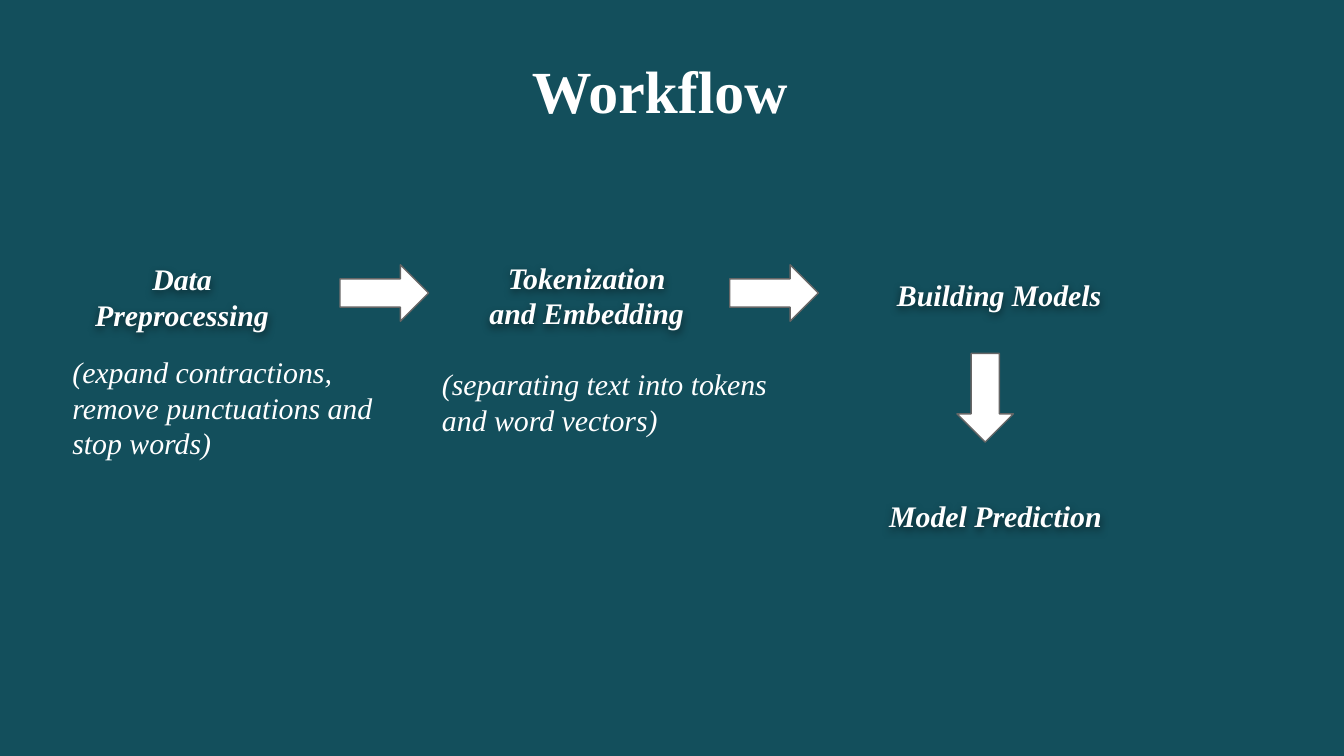
from lxml import etree
from pptx import Presentation
from pptx.dml.color import RGBColor
from pptx.enum.shapes import MSO_SHAPE
from pptx.enum.text import MSO_ANCHOR, MSO_AUTO_SIZE, PP_ALIGN
from pptx.oxml.ns import nsdecls
from pptx.util import Inches, Pt

FONT = "Times New Roman"
BACKGROUND, WHITE, GRAY = "134F5C", "FFFFFF", "666666"

TITLE = ("Workflow", (1.78, 0.3, 6.26, 0.74))
STEPS = [
    ("Data Preprocessing", (0.5, 1.84, 1.71, 1.01)),
    ("Tokenization and Embedding", (3.51, 1.83, 1.71, 0.74)),
    ("Building Models", (6.52, 1.96, 1.83, 0.47)),
    ("Model Prediction ", (6.16, 3.6, 2.55, 0.47)),
]
DETAILS = [
    ("(expand contractions, remove punctuations and stop words)",
     (0.44, 2.53, 2.68, 1.28)),
    ("(separating text into tokens and word vectors)",
     (3.19, 2.62, 2.68, 0.74)),
]
ARROW_SIZE = (0.66, 0.42)
ARROWS = [(2.53, 1.97, 0), (5.43, 1.97, 0), (7, 2.75, 90)]  # left, top, rotation

TEXT_SHADOW = (
    f'<a:effectLst {nsdecls("a")}>'
    '<a:outerShdw blurRad="57150" dist="19050" dir="5400000" algn="bl" rotWithShape="0">'
    '<a:srgbClr val="000000"><a:alpha val="50000"/></a:srgbClr>'
    '</a:outerShdw></a:effectLst>'
)


def color(hex_value):
    return RGBColor.from_string(hex_value)


def place(shape, box):
    shape.left, shape.top, shape.width, shape.height = map(Inches, box)


def write(shape, text, size, align, bold=False, italic=False):
    frame = shape.text_frame
    frame.word_wrap = True
    frame.auto_size = MSO_AUTO_SIZE.SHAPE_TO_FIT_TEXT
    frame.vertical_anchor = MSO_ANCHOR.TOP
    frame.margin_left = frame.margin_right = Inches(0.1)
    frame.margin_top = frame.margin_bottom = Inches(0.1)
    paragraph = frame.paragraphs[0]
    paragraph.text = text
    paragraph.alignment = align
    font = paragraph.font
    font.name, font.size = FONT, Pt(size)
    font.bold, font.italic = bold, italic
    font.color.rgb = color(WHITE)
    return paragraph


def add_text(slide, text, box, align, bold=False):
    shape = slide.shapes.add_textbox(*map(Inches, box))
    write(shape, text, 16, align, bold, italic=True)
    return shape


def add_arrow(slide, left, top, rotation):
    arrow = slide.shapes.add_shape(
        MSO_SHAPE.RIGHT_ARROW, *map(Inches, (left, top, *ARROW_SIZE)))
    arrow.rotation = rotation
    arrow.shadow.inherit = False
    arrow.fill.solid()
    arrow.fill.fore_color.rgb = color(WHITE)
    arrow.line.color.rgb = color(GRAY)
    arrow.line.width = Pt(0.75)


def main():
    presentation = Presentation()
    presentation.slide_width = Inches(10)
    presentation.slide_height = Inches(10) * 9 // 16
    slide = presentation.slides.add_slide(presentation.slide_layouts[5])
    slide.background.fill.solid()
    slide.background.fill.fore_color.rgb = color(BACKGROUND)

    title, box = TITLE
    place(slide.shapes.title, box)
    heading = write(slide.shapes.title, title, 32, PP_ALIGN.CENTER, bold=True)
    heading.space_after = Pt(10)

    for arrow in ARROWS:
        add_arrow(slide, *arrow)
    for text, box in STEPS:
        step = add_text(slide, text, box, PP_ALIGN.CENTER, bold=True)
        step._element.spPr.append(etree.fromstring(TEXT_SHADOW))
    for text, box in DETAILS:
        add_text(slide, text, box, PP_ALIGN.LEFT)

    presentation.save("out.pptx")


if __name__ == "__main__":
    main()
